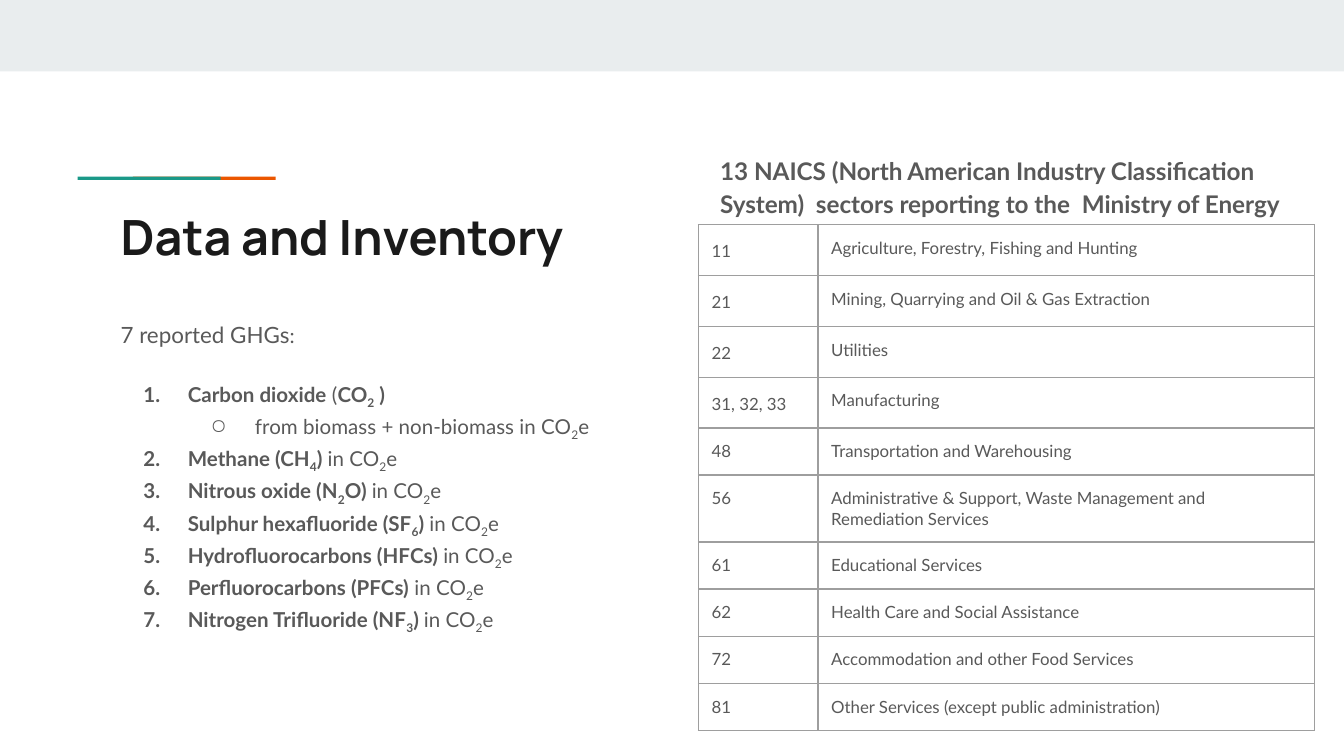
import pptx
import pptx.dml.color
import pptx.enum.shapes
import pptx.oxml
import pptx.oxml.ns
import pptx.util
from pptx.util import Cm

GREY = "595959"
GASES = [
    "*Carbon dioxide* (*CO_2 )*",
    "from biomass + non-biomass in CO_2e",
    "*Methane (CH_4)* in CO_2e",
    "*Nitrous oxide (N_2O) *in CO_2e",
    "*Sulphur hexafluoride (SF_6)* in CO_2e",
    "*Hydrofluorocarbons (HFCs) *in CO_2e",
    "*Perfluorocarbons (PFCs)* in CO_2e",
    "*Nitrogen Trifluoride (NF_3) *in CO_2e",
]
SECTORS = [
    ("11", "Agriculture, Forestry, Fishing and Hunting", 0.96),
    ("21", "Mining, Quarrying and Oil & Gas Extraction", 0.96),
    ("22", "Utilities", 0.96),
    ("31, 32, 33", "Manufacturing", 0.96),
    ("48", "Transportation and Warehousing", 0.89),
    ("56", "Administrative & Support, Waste Management and Remediation Services", 1.25),
    ("61", "Educational Services", 0.89),
    ("62", "Health Care and Social Assistance", 0.89),
    ("72", "Accommodation and other Food Services", 0.89),
    ("81", "Other Services (except public administration)", 0.89),
]


def paint(hue):
    """Return the colour of a hex string."""
    return pptx.dml.color.RGBColor.from_string(hue)


def node(tag, **traits):
    """Return a new drawing element with its traits."""
    item = pptx.oxml.parse_xml(f"<a:{tag} {pptx.oxml.ns.nsdecls('a')}/>")
    for key, value in traits.items():
        item.set(key, value)
    return item


def add_bar(slide, left, top, width, height, hue):
    """Add a plain filled bar."""
    bar = slide.shapes.add_shape(
        pptx.enum.shapes.MSO_SHAPE.RECTANGLE, Cm(left), Cm(top), Cm(width), Cm(height))
    bar.shadow.inherit = False
    bar.fill.solid()
    bar.fill.fore_color.rgb = paint(hue)
    bar.line.fill.background()


def add_run(para, text, size, bold=False, font="Lato", hue=GREY):
    """Add one styled run and return it."""
    run = para.add_run()
    run.text = text
    run.font.size = pptx.util.Pt(size)
    run.font.name = font
    run.font.bold = bold
    run.font.color.rgb = paint(hue)
    return run


def add_marked(para, text, size):
    """Add runs where *...* is bold and _ lowers the next sign."""
    for part, chunk in enumerate(text.split("*")):
        bold = part % 2 == 1
        head, *tails = chunk.split("_")
        if head:
            add_run(para, head, size, bold)
        for tail in tails:
            low = add_run(para, tail[0], size, bold)
            low.font._element.set("baseline", "-25000")
            if tail[1:]:
                add_run(para, tail[1:], size, bold)


def add_box(slide, left, top, width, height):
    """Add a wrapping text box and return its frame."""
    frame = slide.shapes.add_textbox(Cm(left), Cm(top), Cm(width), Cm(height)).text_frame
    frame.word_wrap = True
    inset(frame)
    return frame


def inset(frame):
    """Set equal margins on a text frame or cell."""
    for side in ("left", "top", "right", "bottom"):
        setattr(frame, f"margin_{side}", Cm(0.25))


def add_item(frame, text):
    """Add a list entry, numbered if it starts in bold."""
    para = frame.add_paragraph()
    para.line_spacing = 1.15
    top = text.startswith("*")
    para.level = 0 if top else 1
    props = para._p.get_or_add_pPr()
    props.set("marL", str(Cm(1.27 * (para.level + 1))))
    props.set("indent", str(Cm(-0.84)))
    tint = node("buClr")
    tint.append(node("srgbClr", val=GREY))
    props.append(tint)
    props.append(node("buAutoNum", type="arabicPeriod") if top else node("buChar", char="○"))
    add_marked(para, text, 11)
    return para


def edge(cell):
    """Draw thin grey lines around a cell."""
    props = cell._tc.get_or_add_tcPr()
    for spot, side in enumerate("LRTB"):
        line = node(f"ln{side}", w=str(pptx.util.Pt(0.75)))
        fill = node("solidFill")
        fill.append(node("srgbClr", val="9E9E9E"))
        line.append(fill)
        props.insert(spot, line)


def add_grid(slide, left, top, widths, rows):
    """Add the table of sector codes and names."""
    total = sum(row[-1] for row in rows)
    grid = slide.shapes.add_table(
        len(rows), len(widths), Cm(left), Cm(top), Cm(sum(widths)), Cm(total)).table
    grid.first_row = grid.horz_banding = False
    for column, width in zip(grid.columns, widths):
        column.width = Cm(width)
    for row, (*texts, height) in zip(grid.rows, rows):
        row.height = Cm(height)
        for spot, (cell, text) in enumerate(zip(row.cells, texts)):
            cell.fill.background()
            inset(cell)
            edge(cell)
            para = cell.text_frame.paragraphs[0]
            if spot == 0 and height == 0.96:
                para.line_spacing = 1.15
            add_run(para, text, 9)


def main():
    """Build and save the slide."""
    deck = pptx.Presentation()
    deck.slide_width, deck.slide_height = Cm(25.4), Cm(14.29)
    slide = deck.slides.add_slide(deck.slide_layouts[6])

    add_bar(slide, 0, 0, 25.4, 1.35, "E9EDEE")
    add_bar(slide, 2.51, 3.34, 2.7, 0.06, "EB5600")
    add_bar(slide, 1.47, 3.34, 2.7, 0.06, "1A9988")

    title = add_box(slide, 2.03, 3.66, 21.36, 1.5)
    add_run(title.paragraphs[0], "Data and Inventory", 26, True, "Manrope", "1A1A1A")

    heading = add_box(slide, 13.36, 2.62, 11.33, 1.07).paragraphs[0]
    heading.line_spacing = 1.15
    add_run(heading, "13 NAICS (North American Industry Classification System)  "
            "sectors reporting to the  Ministry of Energy", 13, True)

    add_grid(slide, 13.2, 4.25, (2.26, 9.38), SECTORS)

    body = add_box(slide, 2.03, 5.74, 10.16, 6.27)
    intro = body.paragraphs[0]
    intro.line_spacing = 1.15
    add_run(intro, "7 reported GHGs", 12)
    add_run(intro, ":", 11)
    items = [add_item(body, gas) for gas in GASES]
    items[0].space_before = pptx.util.Pt(16)

    deck.save("out.pptx")


if __name__ == "__main__":
    main()
